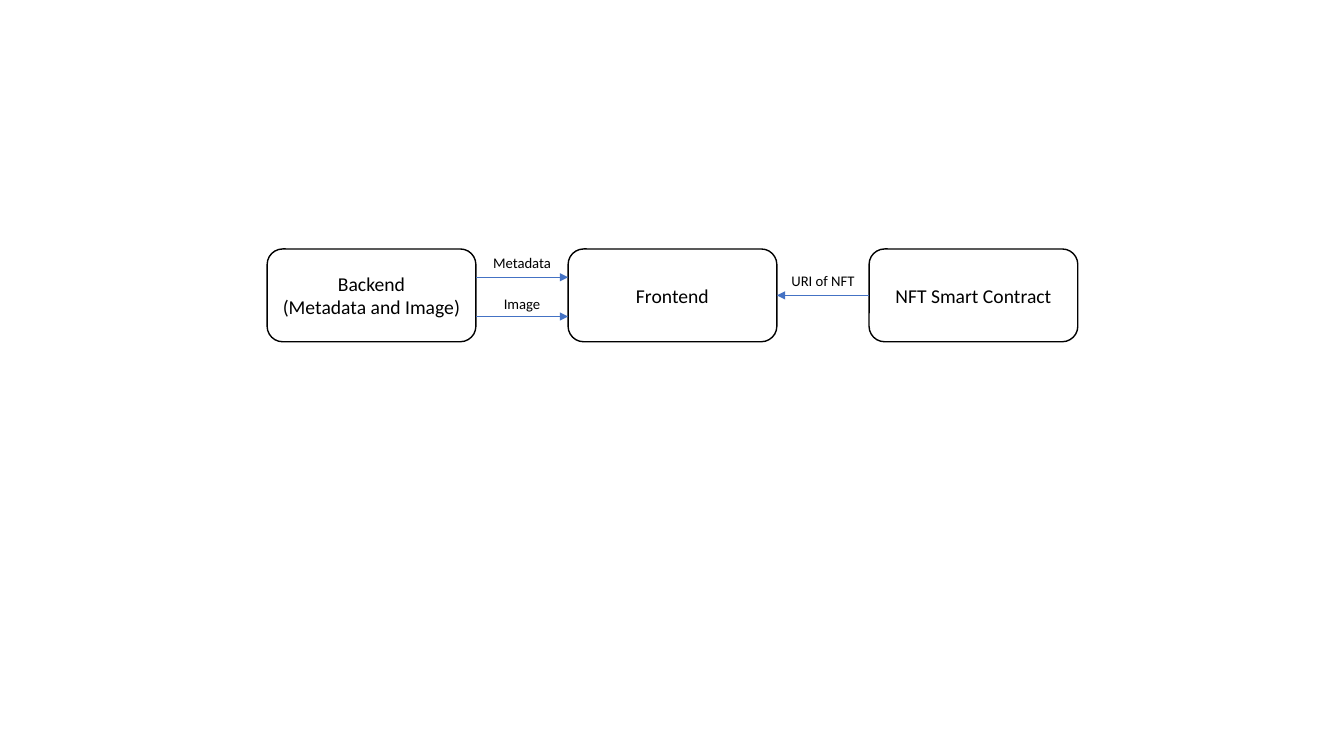
from lxml import etree
from pptx import Presentation
from pptx.dml.color import RGBColor
from pptx.enum import shapes, text
from pptx.oxml.ns import qn
from pptx.util import Inches, Pt

BLACK = RGBColor(0x00, 0x00, 0x00)
WHITE = RGBColor(0xFF, 0xFF, 0xFF)
BLUE = RGBColor(0x44, 0x72, 0xC4)
FONT = "Calibri"

BOX_W, BOX_H, GAP = 2.07, 0.92, 0.915
LABEL_W, LABEL_H = 1.39, 0.29


def write(tf, lines, size):
    tf.word_wrap = True
    for i, line in enumerate(lines):
        p = tf.paragraphs[0] if i == 0 else tf.add_paragraph()
        p.text = line
        p.alignment = text.PP_ALIGN.CENTER
        p.font.name, p.font.size = FONT, Pt(size)
        p.font.color.rgb = BLACK


def add_box(s, left, top, lines):
    sp = s.shapes.add_shape(shapes.MSO_SHAPE.ROUNDED_RECTANGLE,
                            Inches(left), Inches(top), Inches(BOX_W), Inches(BOX_H))
    sp.shadow.inherit = False
    sp.fill.solid()
    sp.fill.fore_color.rgb = WHITE
    sp.line.color.rgb = BLACK
    sp.line.width = Pt(1)
    sp.text_frame.vertical_anchor = text.MSO_ANCHOR.MIDDLE
    write(sp.text_frame, lines, 14)
    return sp


def add_arrow(s, x1, x2, y):
    c = s.shapes.add_connector(shapes.MSO_CONNECTOR.STRAIGHT,
                               Inches(x1), Inches(y), Inches(x2), Inches(y))
    c.line.color.rgb = BLUE
    c.line.width = Pt(0.5)
    etree.SubElement(c.line._get_or_add_ln(), qn("a:tailEnd"), type="triangle")
    etree.SubElement(c._element.spPr, qn("a:effectLst"))
    return c


def add_label(s, center, top, label):
    tb = s.shapes.add_textbox(Inches(center - LABEL_W / 2), Inches(top),
                              Inches(LABEL_W), Inches(LABEL_H))
    write(tb.text_frame, [label], 10.5)
    tb.text_frame.auto_size = text.MSO_AUTO_SIZE.SHAPE_TO_FIT_TEXT


def add_flow(s, left, top):
    # Components, evenly spaced
    components = [["Backend", "(Metadata and Image)"], ["Frontend"], ["NFT Smart Contract"]]
    lefts = [left + i * (BOX_W + GAP) for i in range(len(components))]
    backend, frontend, contract = [add_box(s, x, top, lines)
                                   for x, lines in zip(lefts, components)]

    # Data sent from the backend to the frontend
    gap_1, gap_2 = lefts[0] + BOX_W, lefts[1] + BOX_W
    for dy in (0.28, 0.67):
        add_arrow(s, gap_1, lefts[1], top + dy)

    # Link from the contract to the frontend
    link = add_arrow(s, lefts[2], gap_2, top + BOX_H / 2)
    link.begin_connect(contract, 1)
    link.end_connect(frontend, 3)

    # Arrow labels
    for gap_left, dy, label in ((gap_2, 0.18, "URI of NFT"),
                                (gap_1, 0, "Metadata"),
                                (gap_1, 0.41, "Image")):
        add_label(s, gap_left + GAP / 2, top + dy, label)


def main():
    prs = Presentation()
    prs.slide_width, prs.slide_height = Inches(13.33), Inches(7.5)
    s = prs.slides.add_slide(prs.slide_layouts[6])
    add_flow(s, 2.65, 2.47)
    prs.save("out.pptx")


if __name__ == "__main__":
    main()
